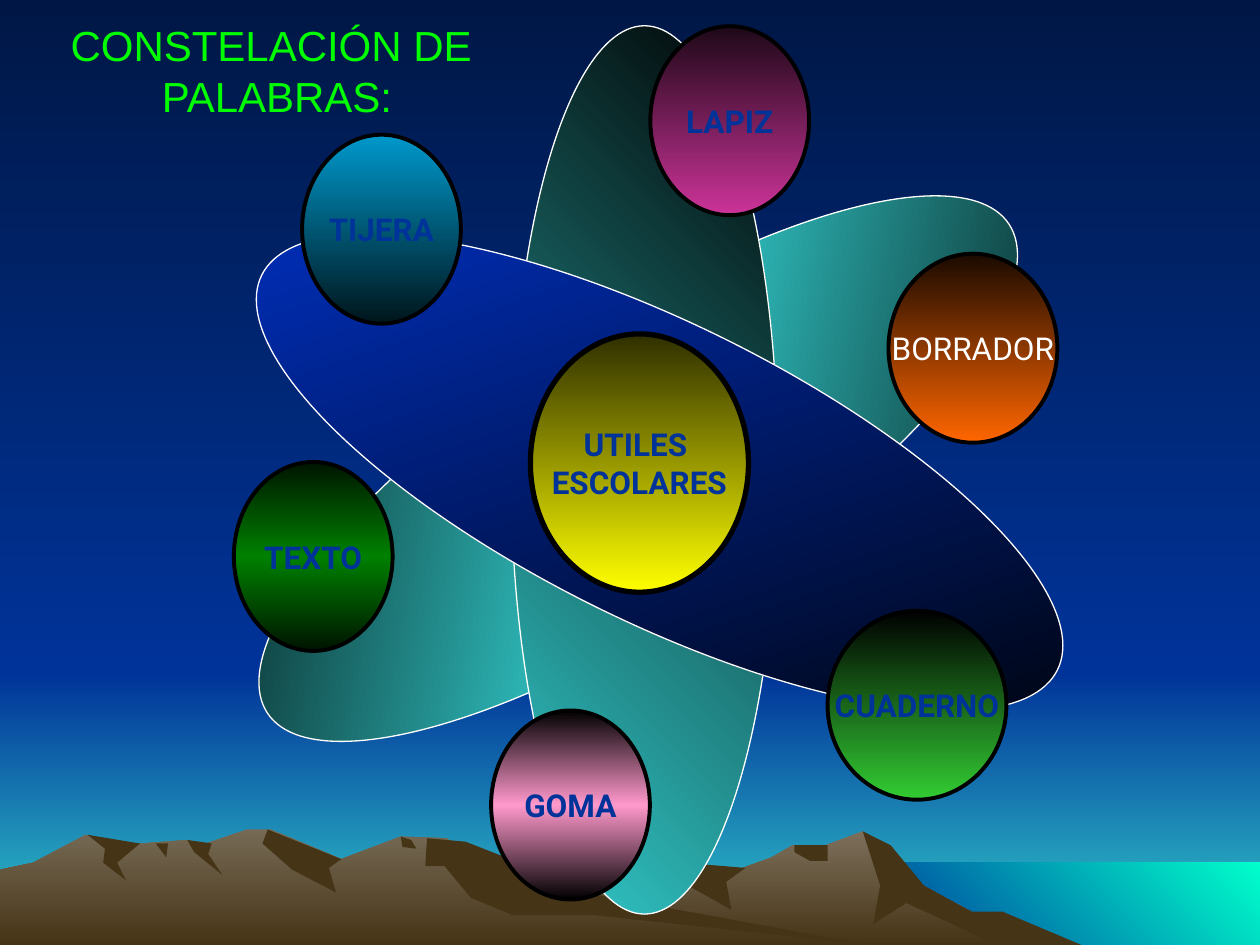
"""Build the word constellation slide about school supplies."""
from copy import deepcopy

from pptx import Presentation
from pptx import util as u
from pptx.dml.color import RGBColor
from pptx.enum import shapes, text

COLORS = {
    "night": "001746", "navy": "003399", "teal": "33CCCC", "aqua": "00FFCC",
    "rock": "7D705C", "rock_left": "766A55", "earth": "463416",
    "black": "000000", "white": "FFFFFF", "title": "00FF00", "blue": "0033CC",
    "olive": "2F2F00", "yellow": "FFFF00", "sky": "0099CC", "deep_sky": "00151C",
    "pink": "FF99CC", "lime": "33CC33", "rust": "1A0A00", "orange": "FF6600",
    "plum": "1E0817", "magenta": "CC3399", "forest": "001400", "green": "008000",
}
WIDTH, HEIGHT, HORIZON = 720, 540, 384
BANDS = [
    ((0, HORIZON, WIDTH, HEIGHT), ("navy", "teal"), 90),
    ((0, 0, WIDTH, HORIZON), ("night", "navy"), 90),
    ((492, 493, WIDTH, HEIGHT), ("navy", "aqua"), 315),
]
MOUNTAINS = [
    (("rock", "earth"), [
        (186, 540), (284, 493), (335, 474), (366, 481), (379, 485), (408, 502), (441, 490),
        (453, 483), (472, 483), (493, 475), (521, 503), (591, 540)]),
    (("earth",), [
        (493, 475), (503, 506), (499, 528), (518, 516), (570, 540), (618, 540), (573, 521),
        (555, 521), (528, 506), (509, 483)]),
    (("earth",), [(381, 487), (386, 502), (418, 520), (415, 504), (426, 496), (390, 493)]),
    (("earth",), [(454, 483), (454, 487), (463, 492), (473, 492), (473, 483)]),
    (("rock_left", "earth"), [
        (0, 540), (0, 497), (19, 493), (49, 477), (68, 483), (107, 480), (115, 483),
        (141, 474), (155, 474), (195, 491), (229, 478), (255, 479), (311, 513), (497, 540)]),
    (("earth",), [(153, 474), (150, 482), (167, 497), (192, 510), (188, 496), (195, 491)]),
    (("earth",), [
        (244, 479), (243, 495), (254, 495), (269, 513), (293, 523), (340, 523), (497, 540),
        (328, 509), (289, 490), (266, 481)]),
    (("earth",), [(229, 478), (235, 480), (238, 485), (230, 484)]),
    (("earth",), [(107, 480), (121, 482), (119, 488), (127, 500), (111, 487)]),
    (("earth",), [(89, 482), (96, 482), (95, 490)]),
    (("earth",), [(50, 477), (80, 482), (67, 493), (72, 503), (59, 493), (60, 485)]),
]
ORBIT_WIDTH = 507.6
ORBITS = [
    (364.7, 267.8, 165.6, 326.6, ("black", "teal", "black")),
    (368.3, 268.5, 152.6, 270, ("teal", "black")),
    (376.9, 270, 169.9, 26.4, ("blue", "black")),
]
TITLE = ["CONSTELACIÓN DE ", "PALABRAS:"]
CORE = ["UTILES ", "ESCOLARES"]
CORE_PLACE = (303.1, 190.8, 124.6, 147.6)
WORD_HEIGHT = 108
WORDS = [
    ("TIJERA", 218, 131, 90.7, ("sky", "deep_sky")),
    ("GOMA", 326, 460, 90.7, ("black", "pink", "black")),
    ("CUADERNO", 524, 403, 102.2, ("black", "lime")),
    ("BORRADOR", 556, 199, 96.5, ("rust", "orange")),
    ("LAPIZ", 417, 69, 90.7, ("plum", "magenta")),
    ("TEXTO", 179, 318, 90.7, ("forest", "green", "forest")),
]


def rgb(name):
    return RGBColor.from_string(COLORS[name])


def paint(fill, names, angle=90):
    if len(names) == 1:
        fill.solid()
        fill.fore_color.rgb = rgb(names[0])
        return
    fill.gradient()
    fill.gradient_angle = (360 - angle) % 360
    first = fill.gradient_stops[0]._gs
    for _ in names[2:]:
        first.addnext(deepcopy(first))
    for index, (stop, name) in enumerate(zip(fill.gradient_stops, names)):
        stop.color.rgb = rgb(name)
        stop.position = index / (len(names) - 1)


def add_outline(slide, points, names, angle=90):
    builder = slide.shapes.build_freeform(*points[0], scale=u.Pt(1))
    builder.add_line_segments(points[1:], close=True)
    shape = builder.convert_to_shape()
    shape.shadow.inherit = False
    paint(shape.fill, names, angle)
    shape.line.fill.background()


def centred(x, y, width, height):
    return x - width / 2, y - height / 2, width, height


def add_ellipse(slide, place, names, angle, line, width):
    shape = slide.shapes.add_shape(shapes.MSO_SHAPE.OVAL, *map(u.Pt, place))
    shape.shadow.inherit = False
    paint(shape.fill, names, angle)
    shape.line.color.rgb = rgb(line)
    shape.line.width = u.Pt(width)
    return shape


def add_span(para, words, font, size, color, bold=False):
    para.alignment = text.PP_ALIGN.CENTER
    span = para.add_run()
    span.text = words
    span.font.name, span.font.size, span.font.bold = font, u.Pt(size), bold
    span.font.color.rgb = rgb(color)


def add_word(slide, lines, place, names, width, color="navy"):
    frame = add_ellipse(slide, place, names, 90, "black", width).text_frame
    frame.word_wrap = False
    frame.vertical_anchor = text.MSO_ANCHOR.MIDDLE
    for index, words in enumerate(lines):
        para = frame.add_paragraph() if index else frame.paragraphs[0]
        add_span(para, words, "Roboto", 18, color, color == "navy")


def add_title(slide):
    box = slide.shapes.add_textbox(*map(u.Pt, (19.4, 20.2, 277.9, 39.6)))
    frame = box.text_frame
    frame.word_wrap = True
    frame.vertical_anchor = text.MSO_ANCHOR.MIDDLE
    para = frame.paragraphs[0]
    for index, words in enumerate(TITLE):
        if index:
            para.add_line_break()
        add_span(para, words, "Arial", 24, "title")


def main():
    deck = Presentation()
    deck.slide_width, deck.slide_height = u.Pt(WIDTH), u.Pt(HEIGHT)
    slide = deck.slides.add_slide(deck.slide_layouts[6])
    paint(slide.background.fill, ("night", "navy"))

    for (left, top, right, bottom), names, angle in BANDS:
        corners = [(right, bottom), (left, bottom), (left, top), (right, top)]
        add_outline(slide, corners, names, angle)
    for names, points in MOUNTAINS:
        add_outline(slide, points, names)
    add_title(slide)

    for x, y, height, rotation, names in ORBITS:
        place = centred(x, y, ORBIT_WIDTH, height)
        add_ellipse(slide, place, names, 45, "white", 0.75).rotation = rotation

    add_word(slide, CORE, CORE_PLACE, ("olive", "yellow"), 3)
    for word, x, y, width, names in WORDS:
        color = "white" if word == "BORRADOR" else "navy"
        add_word(slide, [word], centred(x, y, width, WORD_HEIGHT), names, 2.25, color)

    deck.save("out.pptx")


if __name__ == "__main__":
    main()
